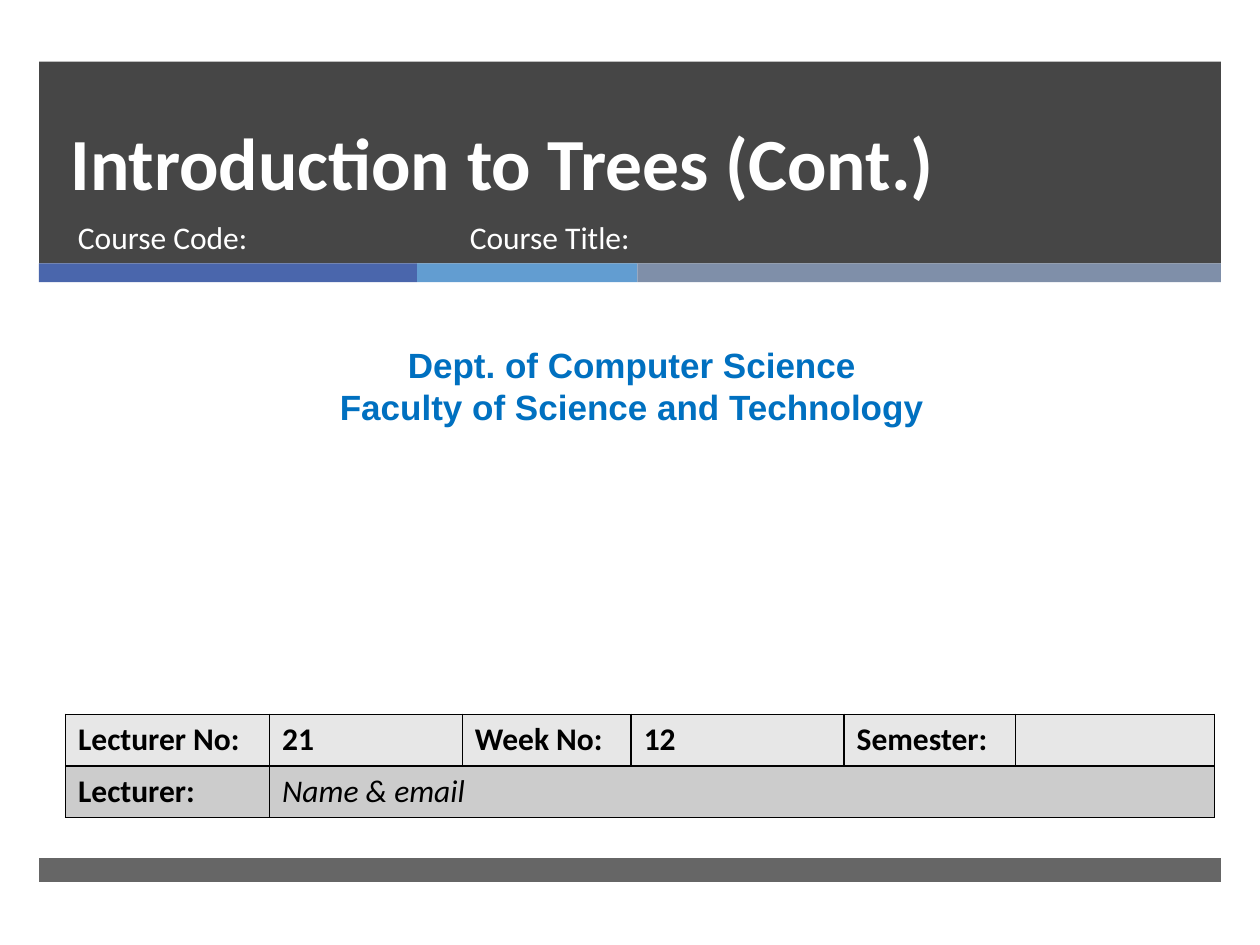
import pptx
import pptx.util
import pptx.dml.color
import pptx.enum.shapes
import pptx.enum.text
import pptx.oxml
import pptx.oxml.ns
import lxml.etree

Inches, Pt = pptx.util.Inches, pptx.util.Pt
RGBColor = pptx.dml.color.RGBColor
ALIGN = pptx.enum.text.PP_ALIGN
qn = pptx.oxml.ns.qn

CHARCOAL = RGBColor(0x26, 0x26, 0x26)
INDIGO = RGBColor(0x4A, 0x66, 0xAC)
SKY = RGBColor(0x62, 0x9D, 0xD1)
SLATE = RGBColor(0x7F, 0x8F, 0xA9)
DEPT_BLUE = RGBColor(0x00, 0x70, 0xC0)
WHITE = RGBColor(0xFF, 0xFF, 0xFF)
BLACK = RGBColor(0x00, 0x00, 0x00)
ROW_FILLS = [RGBColor(0xE7, 0xE7, 0xE7), RGBColor(0xCC, 0xCC, 0xCC)]

# Content
LECTURE_TITLE = "Introduction to Trees (Cont.)"
COURSE_FIELDS = [("Course Code:", 0.52, 3.05), ("Course Title:", 3.63, 4.55)]
DEPARTMENT = ["Dept. of Computer Science", "Faculty of Science and Technology"]
LECTURE_ROWS = [
    ["Lecturer No:", "21", "Week No:", "12", "Semester:", ""],
    ["Lecturer:", "Name & email"],
]
COLUMN_WIDTHS = [1.62, 1.53, 1.34, 1.69, 1.36, 1.58]
ROW_HEIGHT = 0.41

# Bands: left, top, width, height, colour, opacity in percent
LEFT, WIDTH = 0.31, 9.38
BANDS = [(LEFT, 0.49, WIDTH, 1.6, CHARCOAL, 85)]
stripe_left = LEFT
for stripe_width, stripe_color in [(3, INDIGO), (1.75, SKY), (4.63, SLATE)]:
    BANDS.append((stripe_left, 2.09, stripe_width, 0.15, stripe_color, 100))
    stripe_left += stripe_width
BANDS.append((LEFT, 6.81, WIDTH, 0.19, CHARCOAL, 70))


def add_run(paragraph, text, size, color, font="Calibri", bold=False, italic=False):
    run = paragraph.add_run()
    run.text = text
    run.font.name, run.font.size = font, Pt(size)
    run.font.bold, run.font.italic = bold, italic
    run.font.color.rgb = color


def add_text(slide, lines, box, size, color, align=ALIGN.LEFT, **style):
    frame = slide.shapes.add_textbox(*map(Inches, box)).text_frame
    frame.word_wrap = True
    for i, line in enumerate(lines):
        paragraph = frame.add_paragraph() if i else frame.paragraphs[0]
        paragraph.alignment = align
        add_run(paragraph, line, size, color, **style)


def add_band(slide, left, top, width, height, color, opacity):
    band = slide.shapes.add_shape(pptx.enum.shapes.MSO_SHAPE.RECTANGLE,
                                  *map(Inches, (left, top, width, height)))
    band.shadow.inherit = False
    band.fill.solid()
    band.fill.fore_color.rgb = color
    band.line.fill.background()
    if opacity < 100:
        rgb = band.element.spPr.find(qn("a:solidFill")).find(qn("a:srgbClr"))
        lxml.etree.SubElement(rgb, qn("a:alpha")).set("val", str(opacity * 1000))


def format_cell(cell, fill):
    # Borders must come before the fill in the cell properties
    properties = cell._tc.get_or_add_tcPr()
    for side in ("lnL", "lnR", "lnT", "lnB"):
        border = lxml.etree.SubElement(properties, qn("a:" + side), w=str(Pt(1)))
        solid = lxml.etree.SubElement(border, qn("a:solidFill"))
        lxml.etree.SubElement(solid, qn("a:srgbClr"), val=str(BLACK))
    cell.fill.solid()
    cell.fill.fore_color.rgb = fill


def main():
    deck = pptx.Presentation()
    deck.slide_width, deck.slide_height = Inches(10), Inches(7.5)
    slide = deck.slides.add_slide(deck.slide_layouts[5])

    for band in BANDS:
        add_band(slide, *band)

    # Title, brought in front of the header band
    title = slide.shapes.title
    title.element.getparent().append(title.element)
    title.left, title.top, title.width, title.height = map(Inches, (0.46, 0.49, 8.54, 1.19))
    heading = title.text_frame
    heading.word_wrap = True
    heading.auto_size = pptx.enum.text.MSO_AUTO_SIZE.NONE
    heading.vertical_anchor = pptx.enum.text.MSO_ANCHOR.BOTTOM
    heading.paragraphs[0].alignment = ALIGN.LEFT
    heading.paragraphs[0].line_spacing = Pt(46)
    add_run(heading.paragraphs[0], LECTURE_TITLE, 42, WHITE, bold=True)

    # Course fields and department
    for label, left, width in COURSE_FIELDS:
        add_text(slide, [label], (left, 1.68, width, 0.53), 18, WHITE)
    add_text(slide, DEPARTMENT, (0.08, 2.68, 9.87, 0.77), 20, DEPT_BLUE,
             ALIGN.CENTER, font="Arial", bold=True)

    # Lecture details
    row_count, column_count = len(LECTURE_ROWS), len(COLUMN_WIDTHS)
    details = slide.shapes.add_table(
        row_count, column_count, Inches(0.52), Inches(5.67),
        Inches(sum(COLUMN_WIDTHS)), Inches(ROW_HEIGHT * row_count)).table
    for column, width in zip(details.columns, COLUMN_WIDTHS):
        column.width = Inches(width)
    for r, texts in enumerate(LECTURE_ROWS):
        details.rows[r].height = Inches(ROW_HEIGHT)
        for c in range(column_count):
            format_cell(details.cell(r, c), ROW_FILLS[r])
        for c, text in enumerate(texts):
            if text:
                is_contact = (r, c) == (1, 1)
                add_run(details.cell(r, c).text_frame.paragraphs[0], text, 18, BLACK,
                        bold=not is_contact, italic=is_contact)
    details.cell(1, 1).merge(details.cell(1, column_count - 1))

    deck.save("out.pptx")


if __name__ == "__main__":
    main()
